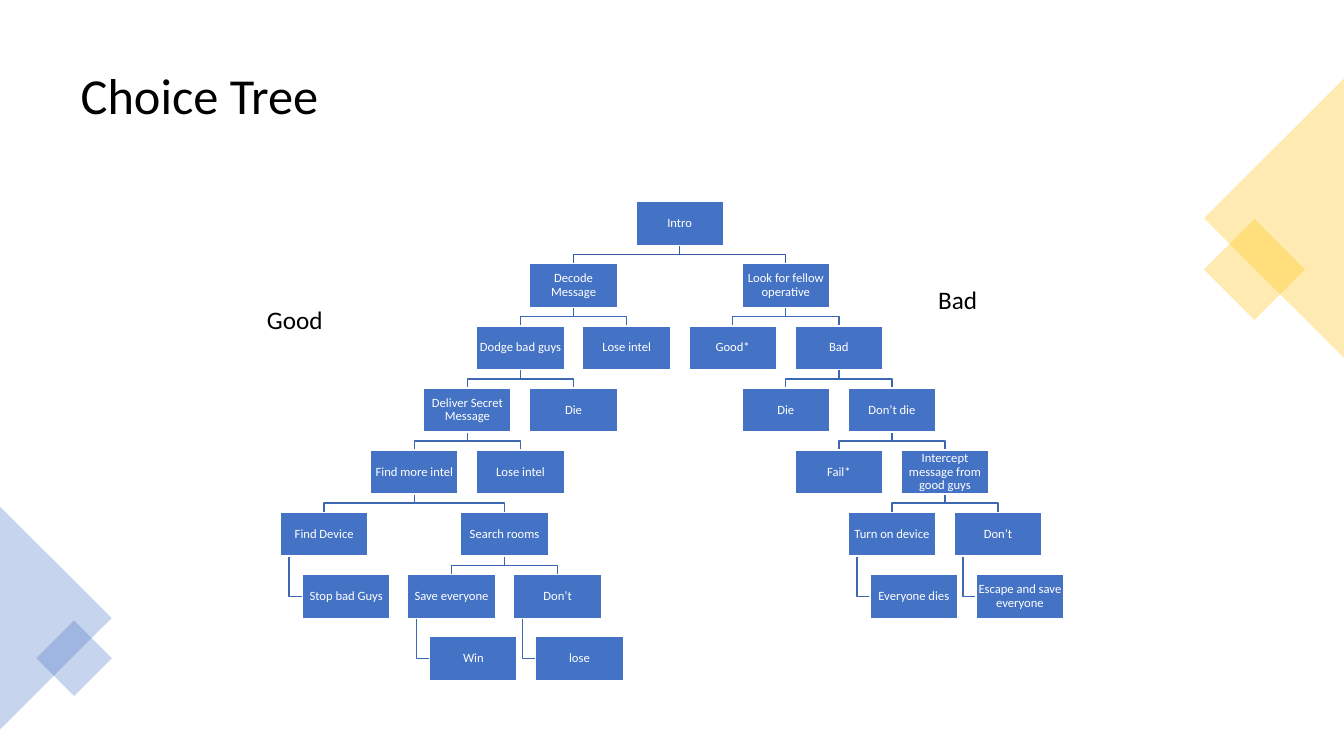
from dataclasses import dataclass

from lxml import etree
from pptx import Presentation
from pptx.dml.color import RGBColor
from pptx.enum.shapes import MSO_SHAPE
from pptx.enum.text import MSO_ANCHOR, MSO_AUTO_SIZE, PP_ALIGN
from pptx.oxml.ns import qn
from pptx.util import Pt

RECTANGLE, TRIANGLE = MSO_SHAPE.RECTANGLE, MSO_SHAPE.ISOSCELES_TRIANGLE
MIDDLE = MSO_ANCHOR.MIDDLE
LEFT, CENTER = PP_ALIGN.LEFT, PP_ALIGN.CENTER
NO_AUTOFIT = MSO_AUTO_SIZE.NONE

BLUE = RGBColor(0x44, 0x72, 0xC4)
ROOT_LINK = RGBColor(0x36, 0x5B, 0x9D)
LINK = RGBColor(0x3E, 0x67, 0xB2)
GOLD = RGBColor(0xFF, 0xC0, 0x00)
WHITE = RGBColor(0xFF, 0xFF, 0xFF)
BLACK = RGBColor(0x00, 0x00, 0x00)
FONT = "Calibri"

# Tree geometry, in points
BOX_W, BOX_H = 62.6, 31.3
ROOT_X, ROOT_TOP, ROW_STEP = 485.5, 144, 44.4
SPREAD = 37.9           # from a parent's centre to each of two children
HANG = BOX_W / 4        # shift of an only child, hung below its parent
STEM = BOX_W / 10       # from a parent's left edge to the hanging line

# Each choice is (label, children) or (label, children, spread)
DECODE = ("Decode Message", [
    ("Dodge bad guys", [
        ("Deliver Secret Message", [
            ("Find more intel", [
                ("Find Device", [("Stop bad Guys", [])]),
                ("Search rooms", [
                    ("Save everyone", [("Win", [])]),
                    ("Don’t", [("lose", [])]),
                ]),
            ], 64.4),
            ("Lose intel", []),
        ]),
        ("Die", []),
    ]),
    ("Lose intel", []),
])
LOOK = ("Look for fellow operative", [
    ("Good*", []),
    ("Bad", [
        ("Die", []),
        ("Don’t die", [
            ("Fail*", []),
            ("Intercept message from good guys", [
                ("Turn on device", [("Everyone dies", [])]),
                ("Don’t", [("Escape and save everyone", [])]),
            ]),
        ]),
    ]),
])
TREE = ("Intro", [DECODE, LOOK], 2 * SPREAD)


@dataclass
class Place:
    label: str
    x: float
    top: float
    parent: object = None
    hangs: bool = False


def walk(choice, place):
    """Yield the place of a choice and of everything below it."""
    yield place
    label, children, *spread = choice
    reach = spread[0] if spread else SPREAD
    only = len(children) == 1
    shifts = [HANG] if only else [-reach, reach]
    for child, shift in zip(children, shifts):
        spot = Place(child[0], place.x + shift, place.top + ROW_STEP, place, only)
        yield from walk(child, spot)


def write(frame, text, size, color, align=LEFT, spacing=1.0):
    para = frame.paragraphs[0]
    para.alignment = align
    para.line_spacing = spacing
    span = para.add_run()
    span.text = text
    span.font.size = Pt(size)
    span.font.name = FONT
    span.font.color.rgb = color


def add_link(page, place):
    parent = place.parent
    bottom = parent.top + BOX_H
    if place.hangs:
        stem = parent.x - BOX_W / 2 + STEM
        middle = place.top + BOX_H / 2
        points = [(stem, bottom), (stem, middle), (place.x - BOX_W / 2, middle)]
    else:
        bend = (bottom + place.top) / 2
        points = [(parent.x, bottom), (parent.x, bend),
                  (place.x, bend), (place.x, place.top)]
    corners = [(Pt(x), Pt(y)) for x, y in points]
    builder = page.shapes.build_freeform(*corners[0])
    builder.add_line_segments(corners[1:], close=False)
    link = builder.convert_to_shape()
    link.fill.background()
    link.line.color.rgb = LINK if parent.parent else ROOT_LINK
    link.line.width = Pt(1)
    link.shadow.inherit = False


def add_choice(page, place):
    box = page.shapes.add_shape(RECTANGLE, Pt(place.x - BOX_W / 2), Pt(place.top),
                                Pt(BOX_W), Pt(BOX_H))
    box.fill.solid()
    box.fill.fore_color.rgb = BLUE
    box.line.color.rgb = WHITE
    box.line.width = Pt(1)
    box.shadow.inherit = False
    frame = box.text_frame
    frame.word_wrap = True
    frame.vertical_anchor = MIDDLE
    frame.margin_left = frame.margin_right = Pt(0.7)
    frame.margin_top = frame.margin_bottom = Pt(0.7)
    write(frame, place.label, 9, WHITE, CENTER, 0.9)


def add_ornament(page, kind, x, y, width, height, turn, color):
    """Add a see-through turned shape centred on x, y."""
    shape = page.shapes.add_shape(kind, Pt(x - width / 2), Pt(y - height / 2),
                                  Pt(width), Pt(height))
    shape.rotation = turn
    shape.fill.solid()
    shape.fill.fore_color.rgb = color
    shape.line.fill.background()
    shape.shadow.inherit = False
    tint = shape.fill._xPr.find(qn("a:solidFill"))[0]
    etree.SubElement(tint, qn("a:alpha")).set("val", "30000")


def add_label(page, text, left, top, width):
    box = page.shapes.add_textbox(Pt(left), Pt(top), Pt(width), Pt(29))
    box.text_frame.word_wrap = True
    write(box.text_frame, text, 18, BLACK)


def set_title(page, text):
    title = page.shapes.title
    title.left, title.top = Pt(50.4), Pt(25.2)
    title.width, title.height = Pt(859), Pt(89.3)
    frame = title.text_frame
    frame.auto_size = NO_AUTOFIT
    frame.vertical_anchor = MIDDLE
    write(frame, text, 36, BLACK, LEFT, 0.9)


def main():
    deck = Presentation()
    deck.slide_width, deck.slide_height = Pt(960), Pt(540)
    page = deck.slides.add_slide(deck.slide_layouts[5])
    set_title(page, "Choice Tree")

    # Tree: links lie behind the boxes
    places = list(walk(TREE, Place(TREE[0], ROOT_X, ROOT_TOP)))
    for place in places[1:]:
        add_link(page, place)
    for place in places:
        add_choice(page, place)

    # Corner ornaments
    add_ornament(page, RECTANGLE, 896, 192.5, 51, 51, 45, GOLD)
    add_ornament(page, TRIANGLE, 910, 155.8, 199.6, 100, 270, GOLD)
    add_ornament(page, TRIANGLE, 39.9, 441.5, 159.2, 79.8, 90, BLUE)
    add_ornament(page, RECTANGLE, 52.9, 470.2, 38.2, 38.2, 45, BLUE)

    # Names of the two sides
    add_label(page, "Good", 183.6, 214, 61.2)
    add_label(page, "Bad", 663, 199.2, 142.6)

    deck.save("out.pptx")


main()
